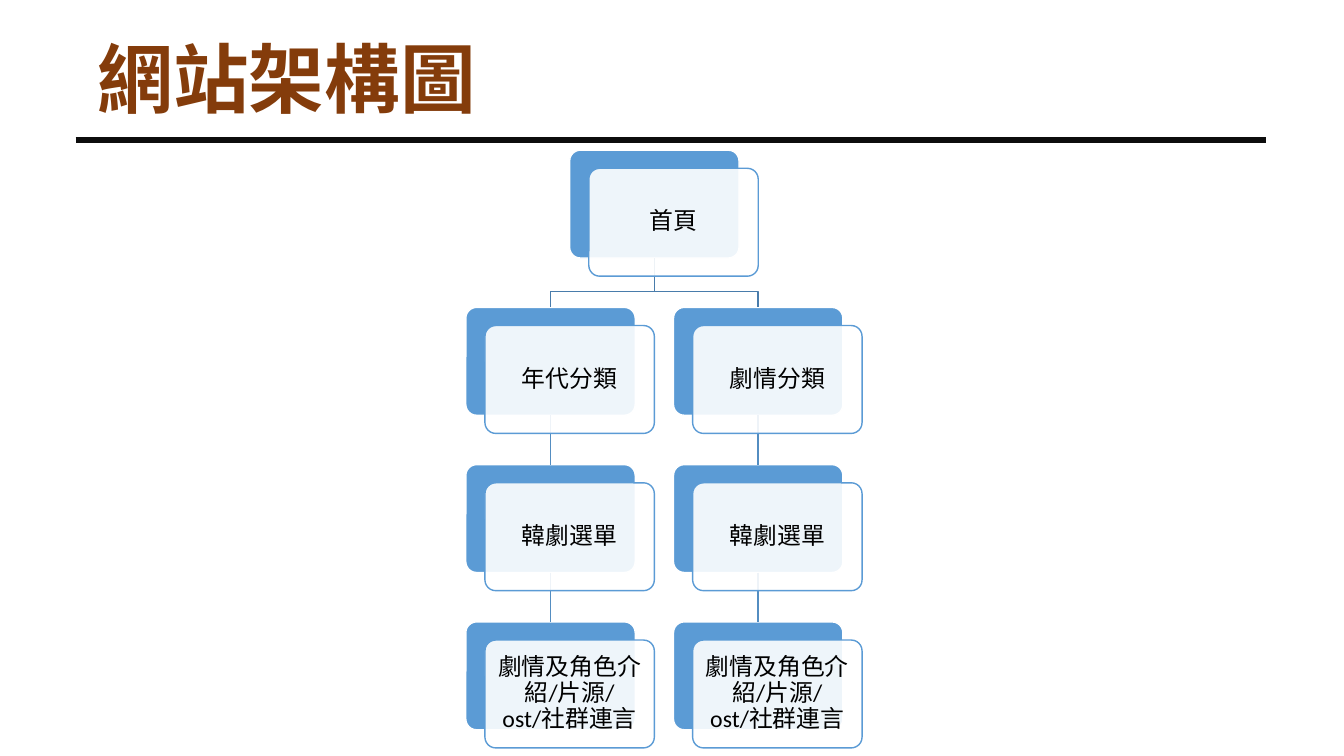
from lxml.etree import SubElement
from pptx import Presentation
from pptx.dml.color import RGBColor
from pptx.enum.shapes import MSO_CONNECTOR as LINE, MSO_SHAPE as SHAPE
from pptx.enum.text import MSO_ANCHOR as ANCHOR, MSO_AUTO_SIZE as AUTO, PP_ALIGN as ALIGN
from pptx.oxml.ns import qn
from pptx.util import Pt

PX = 9144  # 100 px to the inch
CARD_W, CARD_H = 168, 107
ROW_TOP, ROW_STEP = 149, 156
FRONT_DX, FRONT_DY = 19, 18
TITLE_FONT = "Noto Sans CJK SC"


def color(value):
    return RGBColor.from_string(value)


def connect(x1, y1, x2, y2, stroke, width):
    line = slide.shapes.add_connector(LINE.STRAIGHT, x1 * PX, y1 * PX, x2 * PX, y2 * PX)
    line.line.color.rgb = color(stroke)
    line.line.width = Pt(width)
    SubElement(line._element.spPr, qn("a:effectLst"))
    return line


prs = Presentation()
prs.slide_width, prs.slide_height = 1333 * PX, 750 * PX
slide = prs.slides.add_slide(prs.slide_layouts[6])

# Title and rule below it
connect(75, 139, 1256, 139, "0D0D0D", 4.5)
heading = slide.shapes.add_textbox(87 * PX, 27 * PX, 399 * PX, 101 * PX).text_frame
heading.word_wrap = False
heading.auto_size = AUTO.SHAPE_TO_FIT_TEXT
heading_line = heading.paragraphs[0]
heading_run = heading_line.add_run()
heading_run.text = "網站架構圖"
heading_run.font.name = TITLE_FONT
heading_run.font.size = Pt(54)
heading_run.font.bold = True
heading_run.font.color.rgb = color("843C0B")
SubElement(heading_run._r.get_or_add_rPr(), qn("a:ea"), typeface=TITLE_FONT)

# Site map: column left edge and the pages from its first row down
HOME_X = 565
home = (HOME_X, 0, ["首頁"])
details = "劇情及角色介紹/片源/ost/社群連言"
branches = [
    (462, 1, ["年代分類", "韓劇選單", details]),
    (668, 1, ["劇情分類", "韓劇選單", details]),
]

# Blue back cards, each joined to the one above in its column
pages = []
for left, first_row, labels in [home] + branches:
    above = None
    for row, label in enumerate(labels, first_row):
        top = ROW_TOP + row * ROW_STEP
        back = slide.shapes.add_shape(
            SHAPE.ROUNDED_RECTANGLE, left * PX, top * PX, CARD_W * PX, CARD_H * PX)
        back.shadow.inherit = False
        back.adjustments[0] = 0.1
        back.fill.solid()
        back.fill.fore_color.rgb = color("5B9BD5")
        back.line.color.rgb = color("FFFFFF")
        back.line.width = Pt(1)
        if above:
            center = left + CARD_W // 2
            link = connect(center, top - ROW_STEP + CARD_H, center, top, "538DC1", 1)
            link.begin_connect(above, 2)
            link.end_connect(back, 0)
        above = back
        pages.append((left, top, label))

# Stepped links from the home page to both branches
home_center, home_bottom = HOME_X + CARD_W // 2, ROW_TOP + CARD_H
for left, first_row, labels in branches:
    center = left + CARD_W // 2
    step = slide.shapes.build_freeform(home_center, home_bottom, scale=PX)
    step.add_line_segments(
        [(home_center, 289), (center, 289), (center, ROW_TOP + ROW_STEP)], close=False)
    branch_link = step.convert_to_shape()
    branch_link.shadow.inherit = False
    branch_link.fill.background()
    branch_link.line.color.rgb = color("497CAB")
    branch_link.line.width = Pt(1)

# Translucent front cards with the page names
for left, top, label in pages:
    front = slide.shapes.add_shape(
        SHAPE.ROUNDED_RECTANGLE, (left + FRONT_DX) * PX, (top + FRONT_DY) * PX,
        CARD_W * PX, CARD_H * PX)
    front.shadow.inherit = False
    front.adjustments[0] = 0.1
    front.fill.solid()
    front.fill.fore_color.rgb = color("FFFFFF")
    white = front._element.spPr.find(qn("a:solidFill")).find(qn("a:srgbClr"))
    SubElement(white, qn("a:alpha"), val="90000")
    front.line.color.rgb = color("5B9BD5")
    front.line.width = Pt(1)
    frame = front.text_frame
    frame.word_wrap = True
    frame.vertical_anchor = ANCHOR.MIDDLE
    frame.margin_left = frame.margin_right = 7 * PX
    frame.margin_top = frame.margin_bottom = 7 * PX
    name = frame.paragraphs[0]
    name.text = label
    name.alignment = ALIGN.CENTER
    name.line_spacing = 0.9
    name.font.name = "Calibri"
    name.font.size = Pt(17)
    name.font.color.rgb = color("000000")

prs.save("out.pptx")
